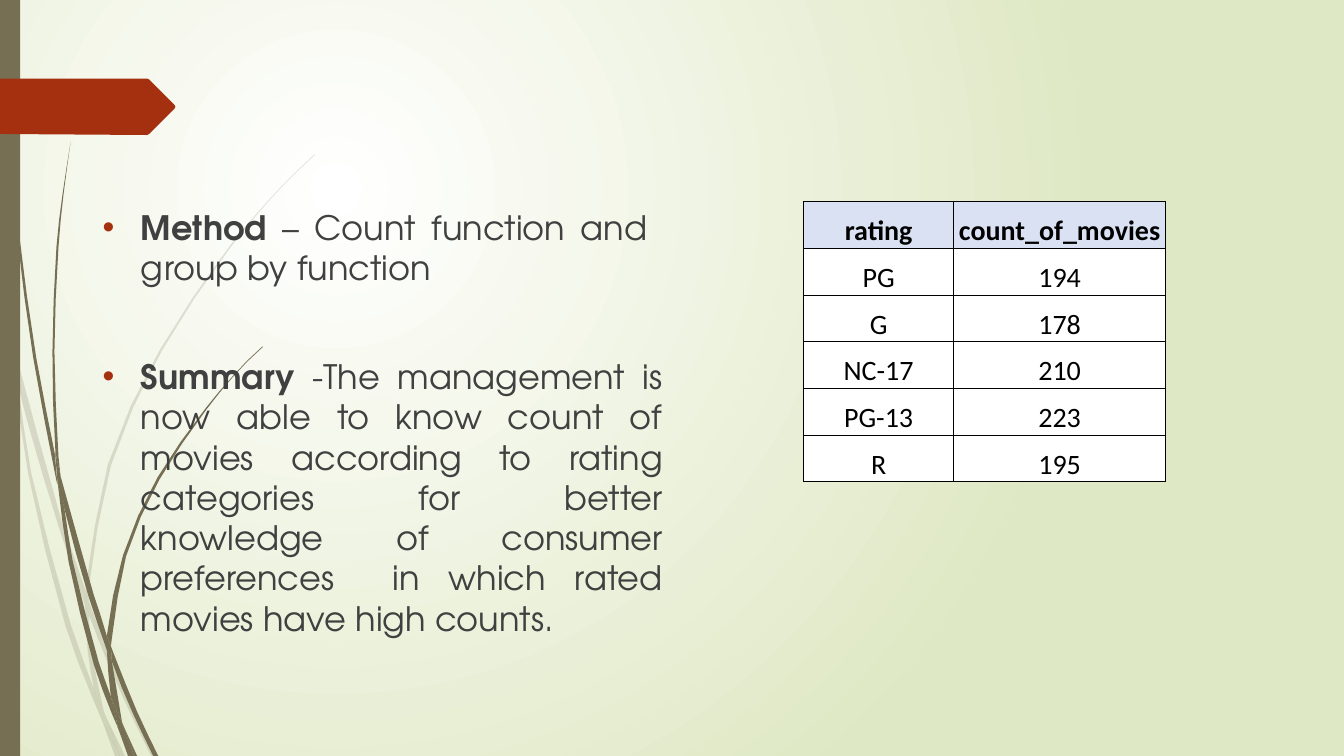
from typing import NamedTuple

from lxml import etree
from pptx import Presentation
from pptx.dml.color import RGBColor
from pptx.enum.shapes import MSO_SHAPE
from pptx.enum.text import MSO_ANCHOR, PP_ALIGN
from pptx.oxml import parse_xml
from pptx.oxml.ns import nsdecls, qn
from pptx.util import Emu, Inches, Pt

RECTANGLE = MSO_SHAPE.RECTANGLE
BOTTOM = MSO_ANCHOR.BOTTOM
CENTER, JUSTIFY = PP_ALIGN.CENTER, PP_ALIGN.JUSTIFY

COLORS = {
    "grass": "766F54", "tag": "A53010", "body": "404040", "black": "000000",
    "white": "FFFFFF", "meadow": "DFE8C4", "header": "D9E1F2",
}
CELL = Inches(0.01)  # the page is a grid of 1333 columns and 750 rows
COLUMNS, ROWS = 1333, 750
LONG_SIDE = 25
CORNER_COSINE = 0.8


class Box(NamedTuple):
    column: int
    row: int
    columns: int
    rows: int

    def lengths(self) -> list[Emu]:
        return [Emu(part * CELL) for part in self]


class Tuft(NamedTuple):
    opacity: int
    blades: list[str]


class Point(NamedTuple):
    lead: str
    rest: str
    space_before: int


# Outlines of the grass blades, as column,row pairs
PALE_TUFT = Tuft(20, [
    "11,350 9,322 0,282 0,299 10,344",
    "58,522 84,599 85,586 62,520 14,345 17,376 29,425",
    "92,607 88,596 88,610 123,694 150,750 155,750 127,692",
    "119,750 124,750 105,711",
    "93,683 70,619 31,469 17,376 11,350 28,470 65,621 92,693 101,714 99,707",
    "84,599 87,646 93,683 96,692 105,711 103,706 91,646 88,610 88,608",
    "88,584 110,462 160,349 229,245 268,198 290,175 312,154 312,153 289,175 268,197 "
    "228,244 158,348 107,461 85,584 85,586 88,596",
    "101,714 114,750 119,750",
    "88,608 88,610 88,596 85,586 84,599",
    "96,692 93,683 99,707 101,714 119,750 105,711",
])
DARK_TUFT = Tuft(100, [
    "7,110 17,233 33,355 56,477 57,481 55,457 55,453 36,355 19,232 8,109 5,48 4,0 3,0 4,48",
    "88,592 106,645 106,631 93,590 60,472 64,505",
    "113,649 110,641 111,656 132,708 152,750 157,750 136,706",
    "110,691 98,657 72,556 64,505 57,477 68,557 93,659 111,708 117,722 116,717",
    "60,472 58,453 54,349 58,245 63,193 70,141 62,193 56,245 52,349 55,449",
    "133,750 136,750 122,719",
    "57,477 64,505 60,472 55,449 55,453",
    "111,633 125,552 158,476 205,406 231,374 245,359 261,344 260,344 245,358 231,373 "
    "204,405 156,474 122,551 106,631 110,641",
    "117,722 127,750 131,750",
    "106,645 110,691 116,706 122,719 121,716 111,656 109,651",
    "106,645 109,651 111,656 110,641 106,631",
    "116,706 110,691 116,717 117,722 130,750 133,750 122,719",
])
TAG = "148,133 146,134 0,133 0,78 146,78 148,79 173,104 174,106 173,108"
STRIP = Box(0, 0, 20, ROWS)
BODY = Box(92, 200, 575, 476)
POINTS = [
    Point("Method ", "– Count function and  group by function", 10),
    Point("Summary", " -The management is now able to know count of movies according to "
          "rating categories for better knowledge of consumer preferences  in which rated "
          "movies have high counts.", 49),
]
RATINGS = Box(797, 200, 359, 278)
RATING_COLUMNS = [149, 210]
RATING_ROWS = [
    ("rating", "count_of_movies"), ("PG", "194"), ("G", "178"),
    ("NC-17", "210"), ("PG-13", "223"), ("R", "195"),
]


def color(name: str) -> RGBColor:
    return RGBColor.from_string(COLORS[name])


def apply(target, formats: dict) -> None:
    for name, value in formats.items():
        setattr(target, name, value)


def paint(shape, name: str, opacity: int = 100) -> None:
    shape.shadow.inherit = False
    shape.line.fill.background()
    shape.fill.solid()
    shape.fill.fore_color.rgb = color(name)
    if opacity < 100:
        tint = shape.element.spPr.find(".//" + qn("a:srgbClr"))
        etree.SubElement(tint, qn("a:alpha"), val=str(opacity * 1000))


def unit(vector: complex) -> complex:
    return vector / (abs(vector) or 1)


def smooth(corners: list[complex]) -> list[complex]:
    """Bend each long side at its middle, and keep the sharp tips."""
    count = len(corners)
    ways = [unit(corners[(i + 1) % count] - corners[i]) for i in range(count)]

    def tangent(index: int, own: complex) -> complex:
        before, after = ways[index - 1], ways[index]
        if (before * after.conjugate()).real < CORNER_COSINE:
            return own
        return unit(corners[(index + 1) % count] - corners[index - 1])

    curve = []
    for i, start in enumerate(corners):
        curve.append(start)
        following = (i + 1) % count
        end = corners[following]
        length = abs(end - start)
        if length > LONG_SIDE:
            bend = tangent(i, ways[i]) - tangent(following, ways[i])
            curve.append((start + end) / 2 + length * bend / 8)
    return curve


def add_outline(page, outline: str, name: str, opacity: int = 100, curved: bool = True) -> None:
    corners = [complex(*map(int, pair.split(","))) for pair in outline.split()]
    dots = [(dot.real * CELL, dot.imag * CELL) for dot in (smooth(corners) if curved else corners)]
    builder = page.shapes.build_freeform(*dots[0])
    builder.add_line_segments(dots[1:], close=True)
    paint(builder.convert_to_shape(), name, opacity)


def set_background(page) -> None:
    fill = page.background.fill
    fill.gradient()
    for stop, name, position in zip(fill.gradient_stops, ("white", "meadow"), (0, 1)):
        stop.color.rgb = color(name)
        stop.position = position
    gradient = page.element.find(".//" + qn("a:gradFill"))
    gradient.replace(gradient.find(qn("a:lin")), parse_xml(
        f'<a:path {nsdecls("a")} path="circle"><a:fillToRect l="50000" t="50000" '
        'r="100000" b="100000"/></a:path>'))


def add_span(para, text: str, font: str, size: int, name: str, bold: bool) -> None:
    span = para.add_run()
    span.text = text
    apply(span.font, {"name": font, "size": Pt(size), "bold": bold})
    span.font.color.rgb = color(name)


def add_body(page) -> None:
    frame = page.shapes.add_textbox(*BODY.lengths()).text_frame
    frame.word_wrap = True
    for index, point in enumerate(POINTS):
        para = frame.add_paragraph() if index else frame.paragraphs[0]
        apply(para, {"alignment": JUSTIFY, "space_before": Pt(point.space_before)})
        for text, bold in ((point.lead, True), (point.rest, False)):
            add_span(para, text, "TeX Gyre Adventor", 24, "body", bold)
        settings = para._p.get_or_add_pPr()
        settings.set("marL", str(38 * CELL))
        settings.set("indent", str(-38 * CELL))
        bullet = etree.SubElement(settings, qn("a:buClr"))
        etree.SubElement(bullet, qn("a:srgbClr"), val=COLORS["tag"])
        etree.SubElement(settings, qn("a:buFont"), typeface="Arial")
        etree.SubElement(settings, qn("a:buChar"), char="•")


def add_ratings(page) -> None:
    table = page.shapes.add_table(len(RATING_ROWS), len(RATING_COLUMNS), *RATINGS.lengths()).table
    for column, width in zip(table.columns, RATING_COLUMNS):
        column.width = Emu(width * CELL)
    for i, texts in enumerate(RATING_ROWS):
        for j, text in enumerate(texts):
            cell = table.cell(i, j)
            apply(cell, {"vertical_anchor": BOTTOM, "margin_left": CELL, "margin_right": CELL,
                         "margin_top": CELL, "margin_bottom": 0})
            cell.fill.solid()
            cell.fill.fore_color.rgb = color("white" if i else "header")
            para = cell.text_frame.paragraphs[0]
            para.alignment = CENTER
            add_span(para, text, "Calibri", 20, "black", i == 0)
            for order, side in enumerate("LRTB"):
                cell._tc.get_or_add_tcPr().insert(order, parse_xml(
                    f'<a:ln{side} {nsdecls("a")} w="{Pt(0.5)}"><a:solidFill>'
                    f'<a:srgbClr val="{COLORS["black"]}"/></a:solidFill></a:ln{side}>'))


def main() -> None:
    deck = Presentation()
    apply(deck, {"slide_width": Emu(COLUMNS * CELL), "slide_height": Emu(ROWS * CELL)})
    page = deck.slides.add_slide(deck.slide_layouts[6])
    # Scenery
    set_background(page)
    for tuft in (PALE_TUFT, DARK_TUFT):
        for blade in tuft.blades:
            add_outline(page, blade, "grass", tuft.opacity)
    paint(page.shapes.add_shape(RECTANGLE, *STRIP.lengths()), "grass")
    add_outline(page, TAG, "tag", curved=False)
    # Content
    add_body(page)
    add_ratings(page)
    deck.save("out.pptx")


if __name__ == "__main__":
    main()
